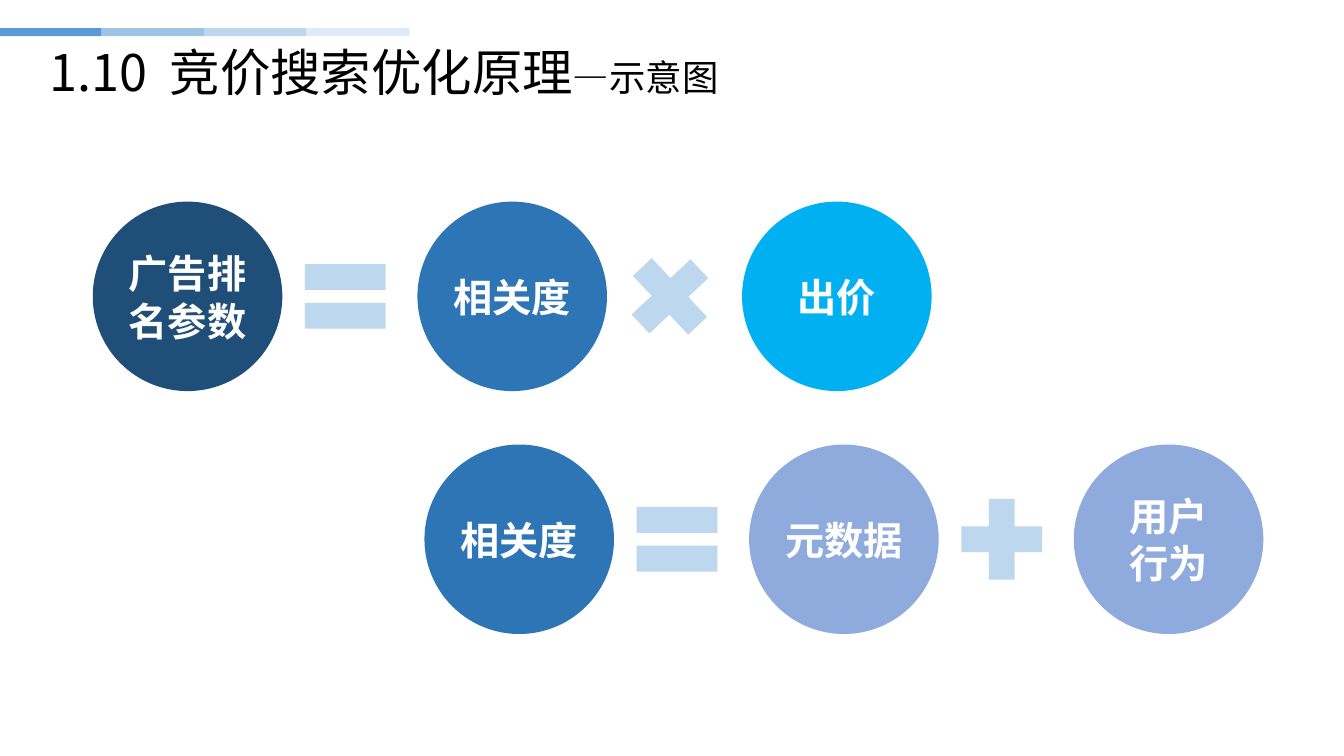
from dataclasses import dataclass

from lxml import etree
from pptx import Presentation
from pptx.dml.color import RGBColor
from pptx.enum.shapes import MSO_SHAPE
from pptx.enum.text import MSO_ANCHOR, PP_ALIGN
from pptx.oxml.ns import qn
from pptx.util import Inches, Pt

RECTANGLE, CIRCLE = MSO_SHAPE.RECTANGLE, MSO_SHAPE.OVAL
EQUAL, PLUS = MSO_SHAPE.MATH_EQUAL, MSO_SHAPE.MATH_PLUS
LEFT, CENTER = PP_ALIGN.LEFT, PP_ALIGN.CENTER
MIDDLE = MSO_ANCHOR.MIDDLE


@dataclass(frozen=True)
class Theme:
    """Colours and type sizes of the slide."""
    font: str = "Noto Sans CJK SC"
    bar: tuple = ("5B9BD5", "9DC3E6", "BDD7EE", "DEEBF7")
    ink: str = "000000"
    label: str = "FFFFFF"
    operator: str = "BDD7EE"
    rank: str = "1F4E79"
    relevance: str = "2E75B6"
    bid: str = "00B0F0"
    factor: str = "8FAADC"
    title_size: int = 36
    subtitle_size: int = 26
    label_size: int = 28
    label_leading: int = 34


THEME = Theme()


def add_figure(slide, kind, box, color, rotation=0):
    """Draw a flat preset shape in a box given in inches."""
    figure = slide.shapes.add_shape(kind, *map(Inches, box))
    figure.shadow.inherit = False
    figure.fill.solid()
    figure.fill.fore_color.rgb = RGBColor.from_string(color)
    figure.line.fill.background()
    figure.rotation = rotation


def add_text(slide, lines, box, *, color, bold=False, align=LEFT, leading=1.0):
    """Write lines of (text, size, tracking) pieces in a box given in inches."""
    frame = slide.shapes.add_textbox(*map(Inches, box)).text_frame
    frame.word_wrap = True
    frame.vertical_anchor = MIDDLE
    for number, pieces in enumerate(lines):
        paragraph = frame.add_paragraph() if number else frame.paragraphs[0]
        paragraph.alignment = align
        paragraph.line_spacing = leading
        for text, size, tracking in pieces:
            run = paragraph.add_run()
            run.text = text
            run.font.size = Pt(size)
            run.font.bold = bold
            run.font.name = THEME.font
            run.font.color.rgb = RGBColor.from_string(color)
            properties = run.font._element
            east_asian = etree.SubElement(properties, qn("a:ea"))
            east_asian.set("typeface", THEME.font)
            if tracking:
                properties.set("spc", str(tracking * 100))


def add_bar(slide, left, top, width, height):
    """Draw the strip of fading segments above the title."""
    step = width / len(THEME.bar)
    for number, color in enumerate(THEME.bar):
        add_figure(slide, RECTANGLE, (left + number * step, top, step, height), color)


def add_title(slide, box):
    """Write the heading with its smaller suffix."""
    pieces = [("1.10", THEME.title_size, 0), (" ", THEME.title_size, 8),
              ("竞价搜索优化原理", THEME.title_size, 0),
              ("—示意图", THEME.subtitle_size, 0)]
    add_text(slide, [pieces], box, color=THEME.ink, leading=0.9)


def add_equation(slide, left, top, terms, operators):
    """Lay out circled terms at an even pitch with operators between them."""
    diameter, pitch, sign, label_width, label_height = 1.88, 3.22, 1.09, 2.26, 1.04
    sign_offset = 1.96
    for number, (kind, rotation) in enumerate(operators):
        box = (left + number * pitch + sign_offset, top + (diameter - sign) / 2, sign, sign)
        add_figure(slide, kind, box, THEME.operator, rotation)
    for number, (lines, color) in enumerate(terms):
        x = left + number * pitch
        add_figure(slide, CIRCLE, (x, top, diameter, diameter), color)
        label_box = (x + (diameter - label_width) / 2, top + (diameter - label_height) / 2,
                     label_width, label_height)
        add_text(slide, [[(line, THEME.label_size, 0)] for line in lines], label_box,
                 color=THEME.label, bold=True, align=CENTER,
                 leading=Pt(THEME.label_leading))


def main():
    """Build the slide and save it."""
    deck = Presentation()
    deck.slide_width, deck.slide_height = Inches(13.33), Inches(7.5)
    slide = deck.slides.add_slide(deck.slide_layouts[6])
    add_bar(slide, -0.01, 0.28, 4.07, 0.08)
    add_title(slide, (0.39, 0.4, 11.5, 0.69))
    add_equation(slide, 0.92, 2.0,
                 [(["广告排", "名参数"], THEME.rank),
                  (["相关度"], THEME.relevance),
                  (["出价"], THEME.bid)],
                 [(EQUAL, 0), (PLUS, 316.7)])
    add_equation(slide, 4.21, 4.41,
                 [(["相关度"], THEME.relevance),
                  (["元数据"], THEME.factor),
                  (["用户", "行为"], THEME.factor)],
                 [(EQUAL, 0), (PLUS, 0)])
    deck.save("out.pptx")


if __name__ == "__main__":
    main()
